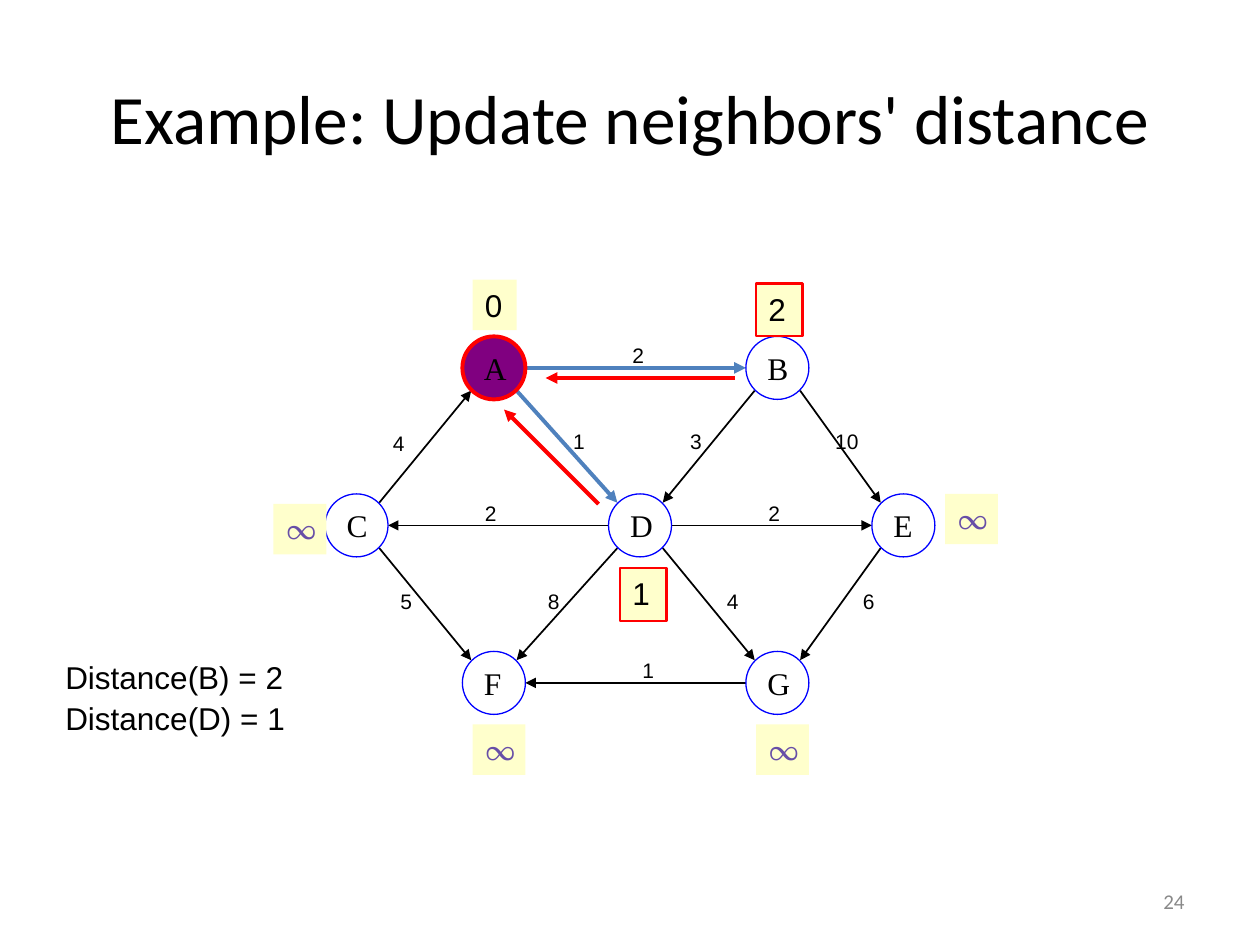
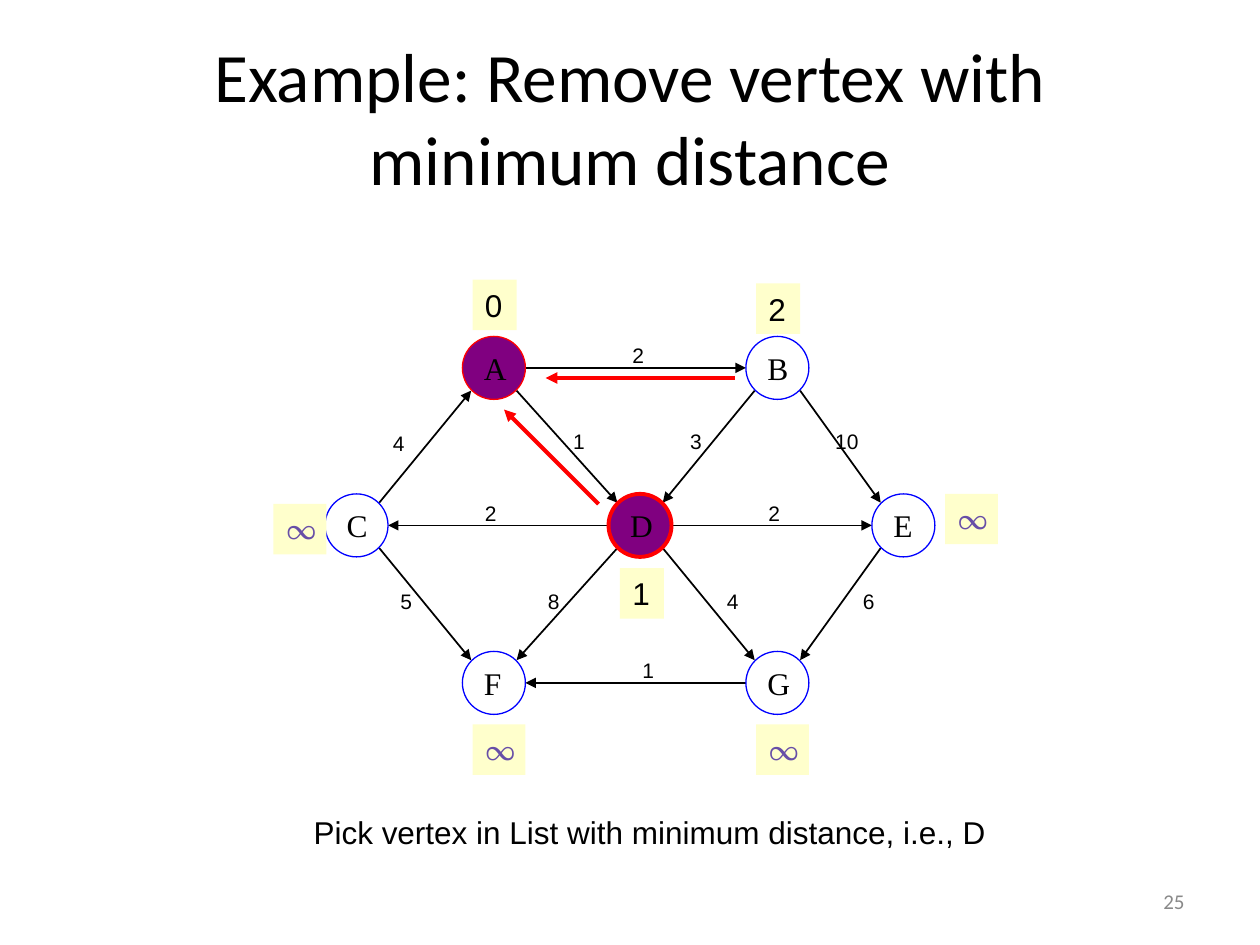
from lxml import etree
from pptx import Presentation
from pptx.dml.color import RGBColor
from pptx.enum.shapes import MSO_CONNECTOR, MSO_SHAPE
from pptx.enum.text import MSO_ANCHOR, MSO_AUTO_SIZE, PP_ALIGN
from pptx.oxml.ns import qn
from pptx.util import Inches, Pt

STRAIGHT = MSO_CONNECTOR.STRAIGHT
OVAL, RECTANGLE = MSO_SHAPE.OVAL, MSO_SHAPE.RECTANGLE
TOP, MIDDLE = MSO_ANCHOR.TOP, MSO_ANCHOR.MIDDLE
LEFT, CENTER, RIGHT = PP_ALIGN.LEFT, PP_ALIGN.CENTER, PP_ALIGN.RIGHT
GROW, FIXED = MSO_AUTO_SIZE.SHAPE_TO_FIT_TEXT, MSO_AUTO_SIZE.NONE
TITLE_ONLY = 5

BLACK, GREY = "000000", "898989"
RED, BLUE, RELAXED_BLUE = "FF0000", "0000FF", "4F81BD"
VISITED_PURPLE, DISTANCE_YELLOW, INFINITY_PURPLE = "800080", "FFFFCC", "674EA7"

TITLE_BOX = (0.5, 0.3, 9, 1.25)
NUMBER_BOX = (7.17, 6.95, 2.33, 0.4)
GRAPH_ORIGIN = (2.17, 2.22)

# Graph data, in inches from the graph's origin
DIAMETER = 0.5
CORNER = 0.07  # gap between a circle's bounding corner and its 45° point
VERTICES = {
    "A": (1.5, 0.45), "B": (3.75, 0.45),
    "C": (0.41, 1.7), "D": (2.66, 1.7), "E": (4.75, 1.7),
    "F": (1.5, 2.95), "G": (3.75, 2.95),
}
# Edge: (weight, left and top of its label)
EDGES = {
    "CA": ("4", 0.85, 1.15), "AD": ("1", 2.28, 1.13), "AB": ("2", 2.75, 0.45),
    "BE": ("10", 4.36, 1.13), "BD": ("3", 3.21, 1.13), "EG": ("6", 4.58, 2.4),
    "DG": ("4", 3.5, 2.4), "DE": ("2", 3.83, 1.7), "DC": ("2", 1.58, 1.7),
    "DF": ("8", 2.08, 2.4), "CF": ("5", 0.91, 2.4), "GF": ("1", 2.83, 2.95),
}
DISTANCES = {
    "A": ("0", 1.58, 0), "B": ("2", 3.83, 0.03), "C": ("∞", 0, 1.78),
    "E": ("∞", 5.33, 1.7), "D": ("1", 2.75, 2.29),
    "F": ("∞", 1.58, 3.53), "G": ("∞", 3.83, 3.53),
}
BACK_POINTERS = [((2.58, 1.78), (1.83, 1.03)), ((3.66, 0.78), (2.16, 0.78))]


def color(hex_string):
    return RGBColor.from_string(hex_string)


def inches(lengths):
    return [Inches(length) for length in lengths]


def write(shape, text, size, font="Arial", ink=BLACK, anchor=TOP,
          align=LEFT, wrap=False, fit=GROW):
    frame = shape.text_frame
    frame.text = text
    frame.word_wrap = wrap
    frame.auto_size = fit
    frame.vertical_anchor = anchor
    para = frame.paragraphs[0]
    para.alignment = align
    for span in para.runs:
        span.font.name = font
        span.font.size = Pt(size)
        span.font.color.rgb = color(ink)


def add_text(page, box, text, size, **style):
    write(page.shapes.add_textbox(*inches(box)), text, size, **style)


def add_figure(page, kind, box, fill=None, line=None, width=0.75):
    shape = page.shapes.add_shape(kind, *inches(box))
    shape.shadow.inherit = False
    if fill:
        shape.fill.solid()
        shape.fill.fore_color.rgb = color(fill)
    else:
        shape.fill.background()
    if line:
        shape.line.color.rgb = color(line)
        shape.line.width = Pt(width)
    else:
        shape.line.fill.background()
    return shape


def add_arrow(page, start, end, ink=BLACK, width=1):
    arrow = page.shapes.add_connector(STRAIGHT, *inches(start + end))
    arrow.line.color.rgb = color(ink)
    arrow.line.width = Pt(width)
    etree.SubElement(arrow.line._get_or_add_ln(), qn("a:tailEnd"), type="triangle")
    etree.SubElement(arrow._element.spPr, qn("a:effectLst"))


def rim_point(vertex, toward):
    """Point on a vertex's circle that faces another vertex."""
    x, y = VERTICES[vertex]
    other_x, other_y = VERTICES[toward]
    near, far = CORNER, DIAMETER - CORNER
    if y == other_y:
        return (x + DIAMETER if other_x > x else x), y + DIAMETER / 2
    return x + (far if other_x > x else near), y + (far if other_y > y else near)


def add_graph(page, origin, visited, current, updated="", relaxed=()):
    left, top = origin

    def place(point):
        return left + point[0], top + point[1]

    # Edges
    for edge in EDGES:
        start, end = edge
        style = (RELAXED_BLUE, 2.25) if edge in relaxed else (BLACK, 1)
        add_arrow(page, place(rim_point(start, end)),
                  place(rim_point(end, start)), *style)

    # Vertices
    for name, corner in VERTICES.items():
        seen = name in visited
        circle = add_figure(page, OVAL, place(corner) + (DIAMETER, DIAMETER),
                            VISITED_PURPLE if seen else None,
                            RED if seen else BLUE,
                            2.25 if name == current else 0.75)
        write(circle, name, 18, "Times New Roman", anchor=MIDDLE, fit=FIXED)

    # Edge weights
    for weight, *corner in EDGES.values():
        width = 0.2 + 0.1 * len(weight)
        add_text(page, place(corner) + (width, 0.3), weight, 12, anchor=MIDDLE)

    # Tentative distances
    for name, (distance, *corner) in DISTANCES.items():
        unknown = distance == "∞"
        changed = name in updated
        size = (0.42, 0.4) if unknown else (0.37, 0.42) if changed else (0.35, 0.4)
        tag = add_figure(page, RECTANGLE, place(corner) + size, DISTANCE_YELLOW,
                         RED if changed else None, 1.25)
        font, ink = ("Vollkorn", INFINITY_PURPLE) if unknown else ("Arial", BLACK)
        write(tag, distance, 18, font, ink)

    # Back pointers to the predecessor
    for start, end in BACK_POINTERS:
        add_arrow(page, place(start), place(end), RED, 2.25)


def add_page(deck, title, number):
    page = deck.slides.add_slide(deck.slide_layouts[TITLE_ONLY])
    heading = page.shapes.title
    heading.left, heading.top, heading.width, heading.height = inches(TITLE_BOX)
    write(heading, title, 39.6, "Calibri", anchor=MIDDLE, align=CENTER,
          wrap=True, fit=FIXED)
    add_text(page, NUMBER_BOX, str(number), 12, font="Calibri", ink=GREY,
             anchor=MIDDLE, align=RIGHT, wrap=True, fit=FIXED)
    return page


def add_update_slide(deck):
    page = add_page(deck, "Example: Update neighbors' distance", 24)
    add_graph(page, GRAPH_ORIGIN, visited="A", current="A", updated="BD",
              relaxed=("AB", "AD"))
    for top, text in ((5.17, "Distance(B) = 2"), (5.5, "Distance(D) = 1")):
        add_text(page, (0.42, top, 2.13, 0.86), text, 18, wrap=True)


def add_remove_slide(deck):
    page = add_page(deck, "Example: Remove vertex with minimum distance", 25)
    add_text(page, (2.39, 6.4, 5.59, 0.4),
             "Pick vertex in List with minimum distance, i.e., D", 18)
    add_graph(page, GRAPH_ORIGIN, visited="AD", current="D")


def main():
    deck = Presentation()
    deck.slide_width, deck.slide_height = Inches(10), Inches(7.5)
    add_update_slide(deck)
    add_remove_slide(deck)
    deck.save("out.pptx")


if __name__ == "__main__":
    main()
